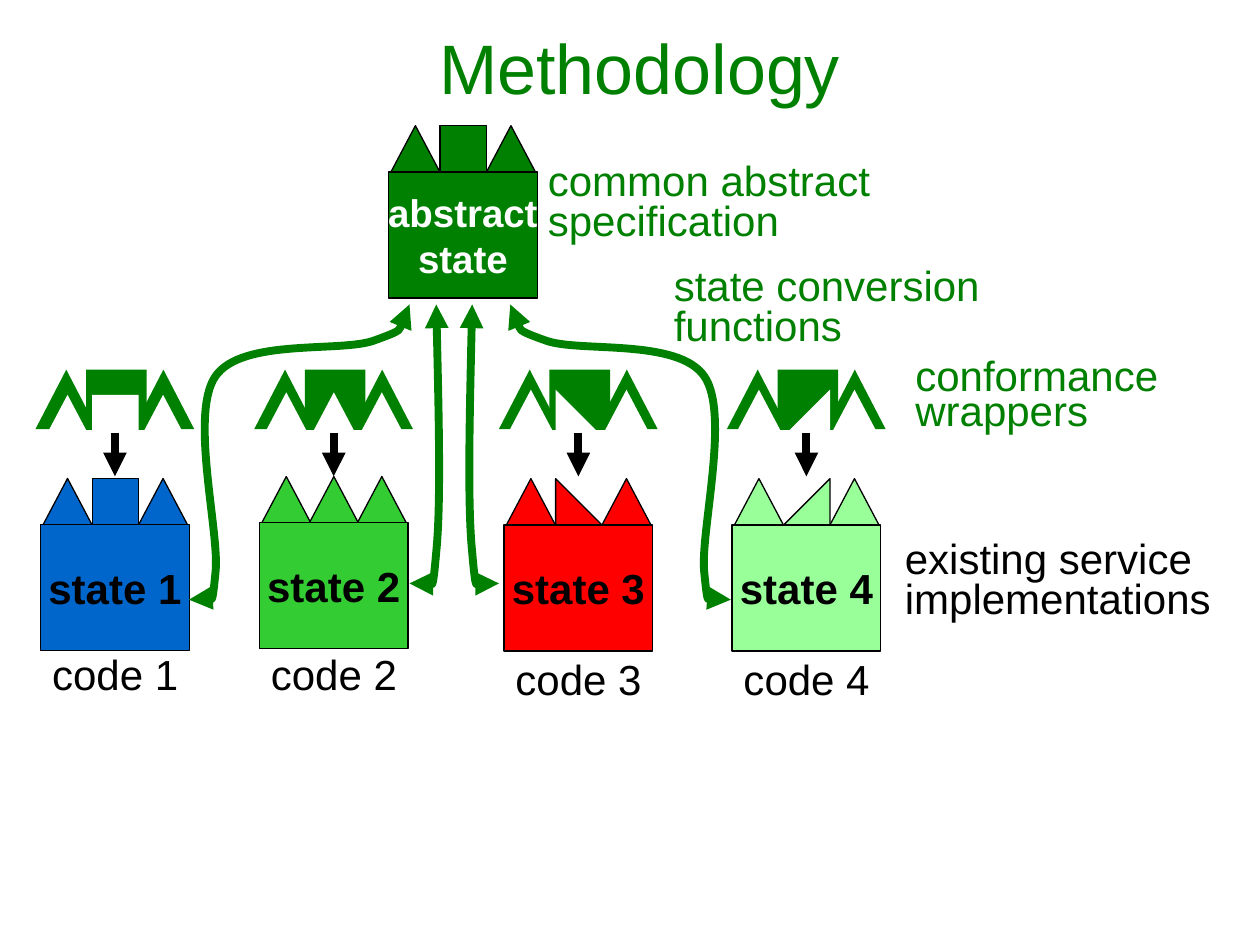
from lxml import etree
from pptx import Presentation
from pptx.dml.color import RGBColor
from pptx.enum import shapes as kinds, text as txt
from pptx.oxml.ns import qn
from pptx.util import Pt

KIND = kinds.MSO_SHAPE
GREEN, BLACK, WHITE = "008000", "000000", "FFFFFF"
BODY_W, BODY_H, ROOF_H = 85, 72, 26.5


def hue(code):
    return RGBColor.from_string(code)


def write(shape, lines, size=24, color=BLACK, bold=False, align=None, gap=None):
    frame = shape.text_frame
    frame.text = "\n".join(lines)
    for para in frame.paragraphs:
        para.alignment, para.line_spacing = align, gap
        font = para.font
        font.name, font.size, font.bold = "Arial", Pt(size), bold
        font.color.rgb = hue(color)


def label(shapes, box, lines, **style):
    shape = shapes.add_textbox(*map(Pt, box))
    write(shape, lines, **style)
    shape.text_frame.word_wrap = False
    shape.text_frame.auto_size = txt.MSO_AUTO_SIZE.SHAPE_TO_FIT_TEXT


def block(shapes, kind, box, fill, line=None, turn=0):
    shape = shapes.add_shape(kind, *map(Pt, box))
    shape.shadow.inherit = False
    shape.rotation = turn
    shape.fill.solid()
    shape.fill.fore_color.rgb = hue(fill)
    if line:
        shape.line.color.rgb = hue(line)
        shape.line.width = Pt(0.75)
    else:
        shape.line.fill.background()
    return shape


def stroke(shape, color, *ends):
    """Thick line with an arrowhead at each named end."""
    shape.line.color.rgb = hue(color)
    shape.line.width = Pt(4.5)
    for end in ends:
        etree.SubElement(shape.line._get_or_add_ln(), qn("a:" + end), type="triangle")


def roof(shapes, x, y, mid, fill, line=None):
    """Two outer peaks and a middle piece, given as (preset, rotation)."""
    for dx in (1.4, 56):
        block(shapes, KIND.ISOSCELES_TRIANGLE, (x + dx, y, 28, ROOF_H), fill, line)
    kind, turn = mid
    dx, w = (28.6, 28) if kind == KIND.ISOSCELES_TRIANGLE else (29.5, ROOF_H)
    block(shapes, kind, (x + dx, y, w, ROOF_H), fill, line, turn)


def castle(shapes, x, y, mid, fill, lines, **style):
    roof(shapes, x, y, mid, fill, BLACK)
    body = block(shapes, KIND.RECTANGLE, (x, y + ROOF_H, BODY_W, BODY_H), fill, BLACK)
    write(body, lines, bold=True, align=txt.PP_ALIGN.CENTER, **style)
    body.text_frame.word_wrap = False
    body.text_frame.vertical_anchor = txt.MSO_ANCHOR.MIDDLE


def wrapper(shapes, x, y, mid, cut):
    """Green band whose lower edge is cut to fit the roof below it."""
    for dx in (-2.9, 52.6):
        block(shapes, KIND.ISOSCELES_TRIANGLE, (x + dx, y, 35.2, 34), GREEN)
    block(shapes, KIND.RECTANGLE, (x + 26, y, 34.6, 34.5), GREEN)
    roof(shapes, x, y + cut, mid, WHITE)
    mid_x = Pt(x + BODY_W / 2)
    arrow = shapes.add_connector(kinds.MSO_CONNECTOR.STRAIGHT,
                                 mid_x, Pt(y + 36), mid_x, Pt(y + 61))
    stroke(arrow, BLACK, "tailEnd")
    etree.SubElement(arrow._element.spPr, qn("a:effectLst"))


def curve(shapes, points):
    """Bezier line: a start point, then three points for each segment."""
    spots = [(Pt(x), Pt(y)) for x, y in points]
    pen = shapes.build_freeform(*spots[0])
    pen.add_line_segments(spots[1:], close=False)
    shape = pen.convert_to_shape()
    shape.shadow.inherit = False
    shape.fill.background()
    stroke(shape, GREEN, "headEnd", "tailEnd")
    route = next(shape._element.iter(qn("a:path")))
    steps = route.findall(qn("a:lnTo"))
    for i in range(0, len(steps), 3):
        bend = etree.SubElement(route, qn("a:cubicBezTo"))
        for step in steps[i:i + 3]:
            bend.append(step[0])
            route.remove(step)


def links(shapes):
    """Curves from the outer and inner states, each with its mirror twin."""
    outer = [(108, 342.7), (114.5, 346), (121, 349.2), (123.1, 327.6),
             (126, 306), (108, 236.9), (123.1, 215.1),
             (138.2, 193), (195.1, 201.6), (213.8, 194.6),
             (232.6, 187.9), (233.3, 180.7), (234, 174)]
    inner = [(234, 333.4), (240.5, 337.7), (247, 342), (249.3, 315.4),
             (252, 288.7), (250.6, 231.1), (249.3, 174)]
    for points, span in ((outer, 525.6), (inner, 519.1)):
        curve(shapes, points)
        curve(shapes, [(span - x, y) for x, y in points])


def main():
    deck = Presentation()
    deck.slide_width, deck.slide_height = Pt(720), Pt(540)
    slide = deck.slides.add_slide(deck.slide_layouts[5])
    shapes = slide.shapes

    title = shapes.title
    title.left, title.top, title.width, title.height = map(Pt, (59.5, -1.5, 612, 79))
    write(title, ["Methodology"], size=40, color=GREEN, align=txt.PP_ALIGN.CENTER)

    square, peak = (KIND.RECTANGLE, 0), (KIND.ISOSCELES_TRIANGLE, 0)
    fall, rise = (KIND.RIGHT_TRIANGLE, 0), (KIND.RIGHT_TRIANGLE, 270)
    states = [  # left, top, roof middle, fill, cut depth, code label top
        (23.2, 273.4, square, "0066CC", 14.4, 366.8),
        (148.2, 272.3, peak, "33CC33", 13, 366.8),
        (288, 273.5, fall, "FF0000", 11.5, 370),
        (418.3, 273.5, rise, "99FF99", 11.5, 370),
    ]
    for n, (x, y, mid, fill, cut, base) in enumerate(states, 1):
        group = shapes.add_group_shape().shapes
        castle(group, x, y, mid, fill, [f"state {n}"])
        label(group, (x - 0.5, base, 86.4, 36), [f"code {n}"])
    for x, y, mid, fill, cut, base in states:
        wrapper(shapes.add_group_shape().shapes, x, 211.2, mid, cut)

    links(shapes.add_group_shape().shapes)
    castle(shapes.add_group_shape().shapes, 222, 71.8, square, GREEN,
           ["abstract", "state"], size=22, color=WHITE)

    notes = [
        ((306, 90.3, 205, 53), ["common abstract", "specification"], GREEN, 0.8),
        ((378, 150.3, 196, 53), ["state conversion", "functions"], GREEN, 0.8),
        ((516, 204, 160, 47.5), ["conformance", "wrappers"], GREEN, 0.7),
        ((510, 306.3, 196, 53), ["existing service", "implementations"], BLACK, 0.8),
    ]
    for box, lines, color, gap in notes:
        label(shapes, box, lines, color=color, gap=gap)

    deck.save("out.pptx")


if __name__ == "__main__":
    main()
